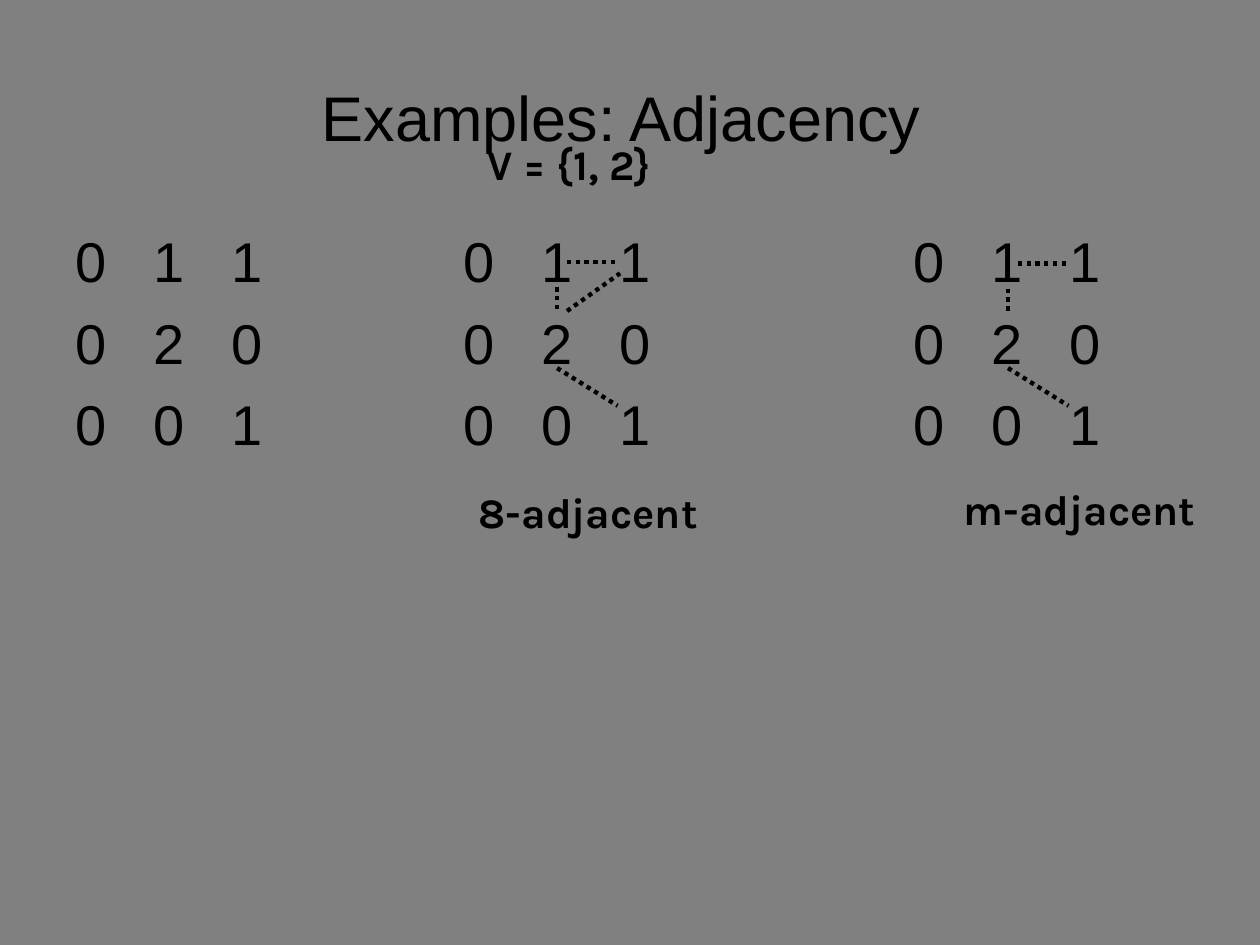
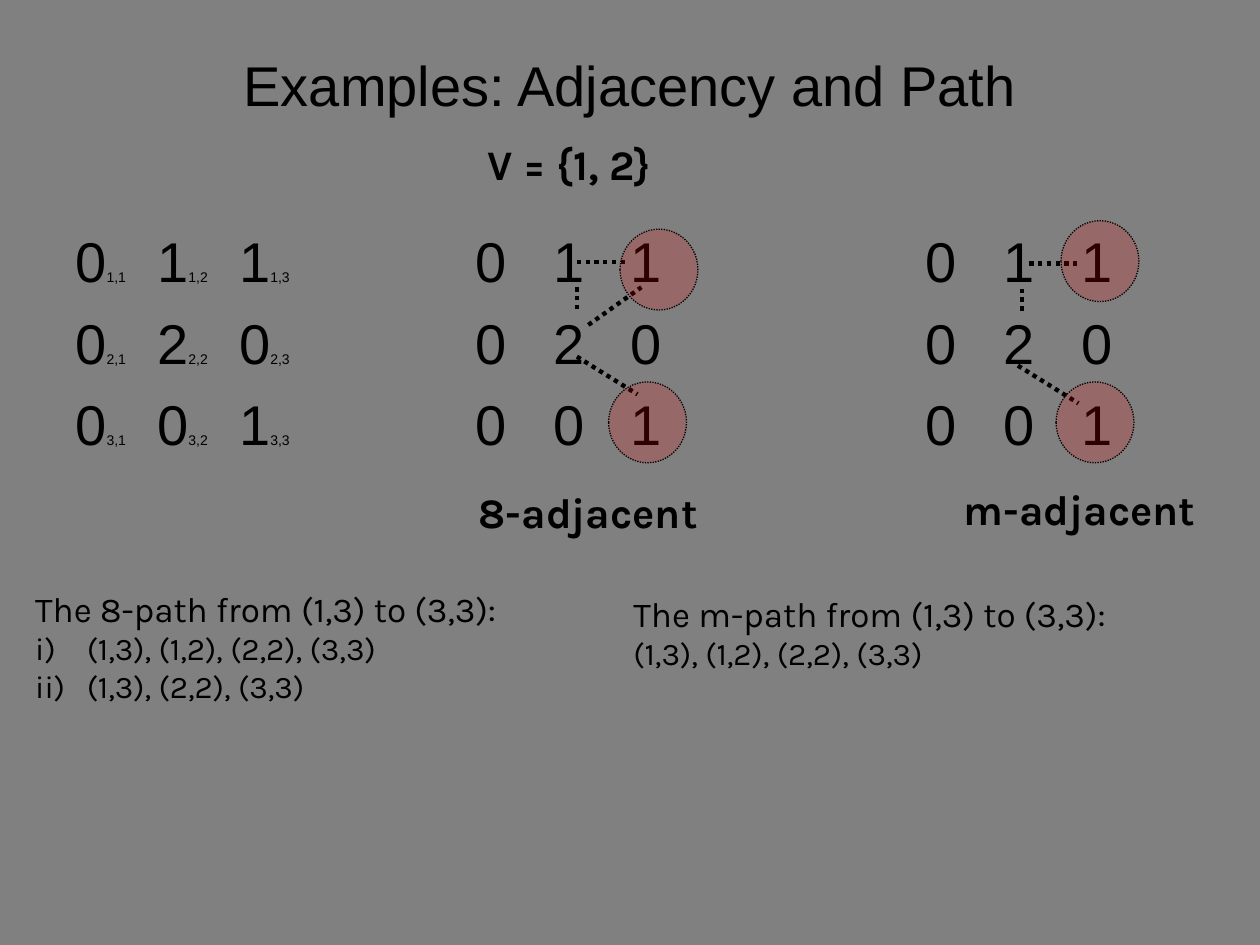
"""Builds two slides on pixel adjacency and paths."""
from pptx import Presentation
from pptx.dml.color import RGBColor
from pptx.enum.dml import MSO_LINE
from pptx.enum.shapes import MSO_CONNECTOR, MSO_SHAPE
from pptx.enum.text import MSO_ANCHOR, MSO_AUTO_SIZE, PP_ALIGN
from pptx.oxml.ns import qn
from pptx.util import Cm, Pt
from lxml.etree import SubElement

GREY = RGBColor(0x80, 0x80, 0x80)
BLACK = RGBColor(0x00, 0x00, 0x00)
RED = RGBColor(0xFF, 0x00, 0x00)
PLAIN_FONT, LABEL_FONT = "Arial", "Karla"
DIGIT_SIZE, INDEX_SIZE = 32, 8

PIXELS = ["011", "020", "001"]
COLUMN_PITCH, INDEXED_PITCH = 1.57, 1.65
BLOCK_GAP = 9.08
ROUTE_INDENT = 1.04

LINK_STEPS = {
    "right": (1.04, 0),
    "down": (0, 0.51),
    "up-right": (1.07, -0.76),
    "down-right": (1.22, 0.76),
}
CAPTIONS = [
    ("V = {1, 2}", (9.58, 2.67, 4.06, 2.29)),
    ("8-adjacent", (9.4, 9.68, 4.93, 1.27)),
    ("m-adjacent", (19.18, 9.63, 5.28, 2.29)),
]
EXAMPLES = [
    {
        "title": "Examples: Adjacency",
        "title_size": 36,
        "title_margins": (0.61, 0.13),
        "indexed": False,
        "second_block": 7.82,
        "links": [
            ("right", 11.43, 5.28), ("down", 11.23, 5.79),
            ("up-right", 11.43, 6.27), ("down-right", 11.23, 7.42),
            ("right", 20.52, 5.31), ("down", 20.32, 5.82), ("down-right", 20.32, 7.42),
        ],
        "paths": [],
        "endpoints": [],
    },
    {
        "title": "Examples: Adjacency and Path",
        "title_size": 32,
        "title_margins": (0.25, 1.45),
        "indexed": True,
        "second_block": 8.06,
        "links": [
            ("right", 11.63, 5.28), ("down", 11.63, 5.79),
            ("up-right", 11.86, 6.55), ("down-right", 11.63, 7.19),
            ("right", 20.75, 5.31), ("down", 20.6, 5.82), ("down-right", 20.52, 7.37),
        ],
        "paths": [
            ("The 8-path from (1,3) to (3,3):", (0.46, 11.71, 12.22, 2.64),
             ["(1,3), (1,2), (2,2), (3,3)", "(1,3), (2,2), (3,3)"]),
            ("The m-path from (1,3) to (3,3):", (12.52, 11.81, 12.47, 1.88),
             ["(1,3), (1,2), (2,2), (3,3)"]),
        ],
        "endpoints": [(12.5, 4.62), (12.27, 7.7), (21.39, 4.45), (21.29, 7.7)],
    },
]


def style(run, size, font, bold=False):
    run.font.size = Pt(size)
    run.font.name = font
    run.font.bold = bold
    run.font.color.rgb = BLACK


def add_text(slide, box, lines, size, font, bold=False):
    frame = slide.shapes.add_textbox(*map(Cm, box)).text_frame
    frame.word_wrap = False
    frame.text = "\n".join(lines)
    for paragraph in frame.paragraphs:
        for run in paragraph.runs:
            style(run, size, font, bold)
    return frame


prs = Presentation()
prs.slide_width, prs.slide_height = Cm(25.4), Cm(19.05)
background = prs.slide_master.background.fill
background.solid()
background.fore_color.rgb = GREY

for example in EXAMPLES:
    slide = prs.slides.add_slide(prs.slide_layouts[5])
    title = slide.shapes.title
    title.left, title.top, title.width, title.height = Cm(1.27), Cm(0.76), Cm(22.86), Cm(3.18)
    heading = title.text_frame
    heading.text = example["title"]
    heading.auto_size = MSO_AUTO_SIZE.NONE
    heading.vertical_anchor = MSO_ANCHOR.MIDDLE
    heading.margin_right, heading.margin_bottom = map(Cm, example["title_margins"])
    heading.paragraphs[0].alignment = PP_ALIGN.CENTER
    style(heading.paragraphs[0].runs[0], example["title_size"], PLAIN_FONT)

    indexed = example["indexed"]
    second_block = example["second_block"]
    blocks = [
        (0, INDEXED_PITCH if indexed else COLUMN_PITCH),
        (second_block, COLUMN_PITCH),
        (second_block + BLOCK_GAP, COLUMN_PITCH),
    ]
    column_stops = [start + column * pitch for start, pitch in blocks for column in range(3)]
    matrix_rows = ["\t".join(values * len(blocks)) for values in PIXELS]
    matrices = add_text(slide, (1.27, 4.45, 22.86, 12.57), matrix_rows, DIGIT_SIZE, PLAIN_FONT)
    for row, (paragraph, values) in enumerate(zip(matrices.paragraphs, PIXELS), 1):
        paragraph.space_after = Pt(8)
        tabs = SubElement(paragraph._p.get_or_add_pPr(), qn("a:tabLst"))
        for stop in column_stops[1:]:
            SubElement(tabs, qn("a:tab"), pos=str(int(Cm(stop))), algn="l")
        if indexed:
            paragraph.clear()
            pieces = []
            for column, value in enumerate(values, 1):
                pieces += [(value, DIGIT_SIZE), (f"{row},{column}", INDEX_SIZE), ("\t", DIGIT_SIZE)]
            pieces.append(("\t".join(values * 2), DIGIT_SIZE))
            for text, size in pieces:
                run = paragraph.add_run()
                run.text = text
                style(run, size, PLAIN_FONT)

    for caption, box in CAPTIONS:
        add_text(slide, box, [caption], 24, LABEL_FONT, bold=True)

    for direction, x, y in example["links"]:
        dx, dy = LINK_STEPS[direction]
        link = slide.shapes.add_connector(
            MSO_CONNECTOR.STRAIGHT, Cm(x), Cm(y), Cm(x + dx), Cm(y + dy))
        link.line.color.rgb = BLACK
        link.line.width = Pt(2.5)
        link.line.dash_style = MSO_LINE.ROUND_DOT
        SubElement(link._element.spPr, qn("a:effectLst"))

    for lead, box, routes in example["paths"]:
        path_text = add_text(slide, box, [lead] + routes, 18, LABEL_FONT)
        path_text.paragraphs[0].runs[0].font.size = Pt(20)
        if len(routes) > 1:
            for paragraph in path_text.paragraphs[1:]:
                numbering = paragraph._p.get_or_add_pPr()
                numbering.set("marL", str(int(Cm(ROUTE_INDENT))))
                numbering.set("indent", str(int(Cm(-ROUTE_INDENT))))
                SubElement(numbering, qn("a:buAutoNum"), type="romanLcParenR")

    for left, top in example["endpoints"]:
        endpoint = slide.shapes.add_shape(MSO_SHAPE.OVAL, Cm(left), Cm(top), Cm(1.57), Cm(1.63))
        endpoint.shadow.inherit = False
        endpoint.fill.solid()
        endpoint.fill.fore_color.rgb = RED
        tint = endpoint._element.spPr.find(qn("a:solidFill"))[0]
        SubElement(tint, qn("a:alpha"), val="18000")
        endpoint.line.color.rgb = BLACK
        endpoint.line.width = Pt(0.75)
        endpoint.line.dash_style = MSO_LINE.ROUND_DOT

prs.save("out.pptx")
